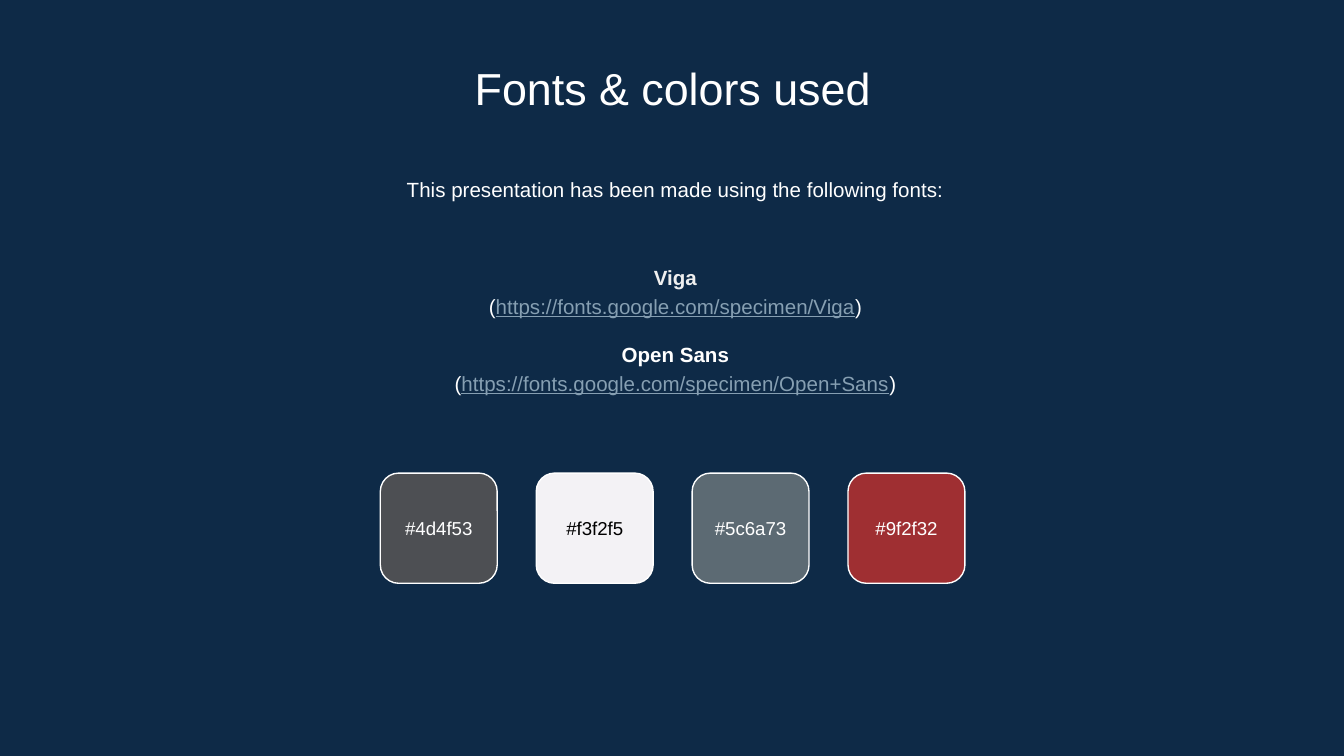
from pptx import Presentation
from pptx.dml.color import RGBColor
from pptx.enum import shapes, text
from pptx.util import Inches, Pt

C = {"bg": "0E2A47", "white": "FFFFFF", "light": "EFEFEF", "link": "869FB2", "black": "000000"}


def add_box(s, x, y, w, h, anchor=text.MSO_ANCHOR.TOP):
    tf = s.shapes.add_textbox(Inches(x), Inches(y), Inches(w), Inches(h)).text_frame
    tf.word_wrap = True
    tf.vertical_anchor = anchor
    tf.margin_left = tf.margin_right = tf.margin_top = tf.margin_bottom = Inches(0.1)
    return tf


def style(p, size, color=None, spacing=None):
    p.alignment = text.PP_ALIGN.CENTER
    p.font.name = "Arial"
    p.font.size = Pt(size)
    if color:
        p.font.color.rgb = RGBColor.from_string(color)
    if spacing:
        p.line_spacing = spacing


# 16:9 slide
prs = Presentation()
prs.slide_width = Inches(10)
prs.slide_height = Inches(10 * 9 / 16)
s = prs.slides.add_slide(prs.slide_layouts[6])
s.background.fill.solid()
s.background.fill.fore_color.rgb = RGBColor.from_string(C["bg"])

# Introduction and title
for line, x, y, h, size, spacing in [
    ("This presentation has been made using the following fonts:", 1.17, 1.19, 0.48, 11, 1.15),
    ("Fonts & colors used", 1.15, 0.35, 0.53, 24, None),
]:
    p = add_box(s, x, y, 7.71, h).paragraphs[0]
    p.text = line
    style(p, size, C["white"], spacing)

# Font names with their addresses
tf = add_box(s, 1.17, 1.76, 7.71, 1.37, text.MSO_ANCHOR.MIDDLE)
fonts = [
    ("Viga", "https://fonts.google.com/specimen/Viga", C["light"]),
    ("Open Sans", "https://fonts.google.com/specimen/Open+Sans", C["white"]),
]
for i, (name, url, color) in enumerate(fonts):
    p = tf.add_paragraph() if i else tf.paragraphs[0]
    p.text = name
    style(p, 11, color, 1.15)
    p.font.bold = True
    if i:
        p.space_before = Pt(11)

    p = tf.add_paragraph()
    style(p, 11, spacing=1.15)
    for part, color in [("(", C["white"]), (url, C["link"]), (")", C["white"])]:
        r = p.add_run()
        r.text = part
        r.font.color.rgb = RGBColor.from_string(color)
        r.font.underline = part == url

# Colour swatches with their hex codes
swatches = [("#4d4f53", "white"), ("#f3f2f5", "black"), ("#5c6a73", "white"), ("#9f2f32", "white")]
for i, (code, ink) in enumerate(swatches):
    x = 2.83 + 1.16 * i
    sp = s.shapes.add_shape(shapes.MSO_SHAPE.ROUNDED_RECTANGLE,
                            Inches(x), Inches(3.52), Inches(0.87), Inches(0.82))
    sp.shadow.inherit = False
    sp.fill.solid()
    sp.fill.fore_color.rgb = RGBColor.from_string(code[1:].upper())
    sp.line.color.rgb = RGBColor.from_string(C["white"])
    sp.line.width = Pt(0.75)

    p = add_box(s, x, 3.69, 0.87, 0.48, text.MSO_ANCHOR.MIDDLE).paragraphs[0]
    p.text = code
    style(p, 10, C[ink])

prs.save("out.pptx")
